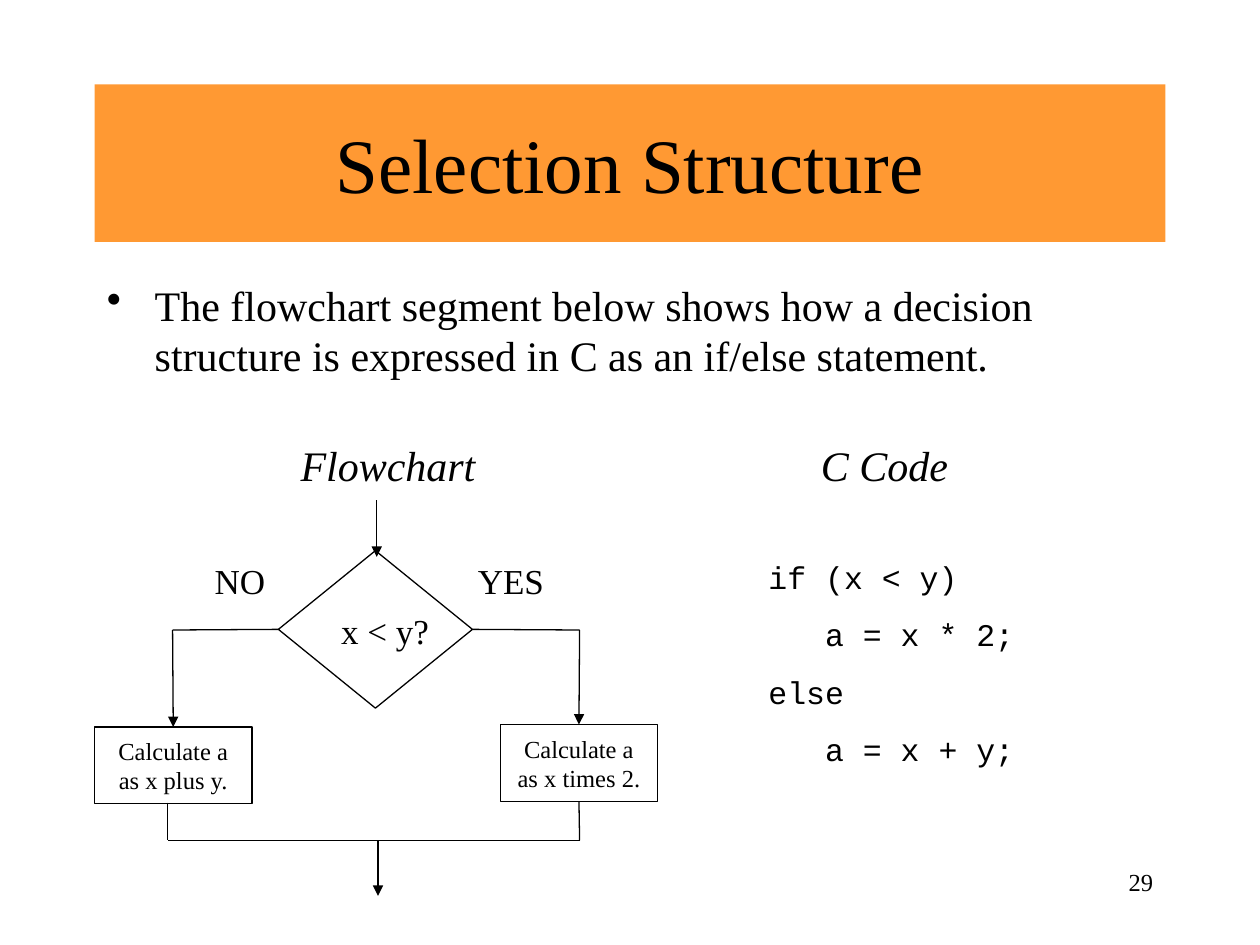
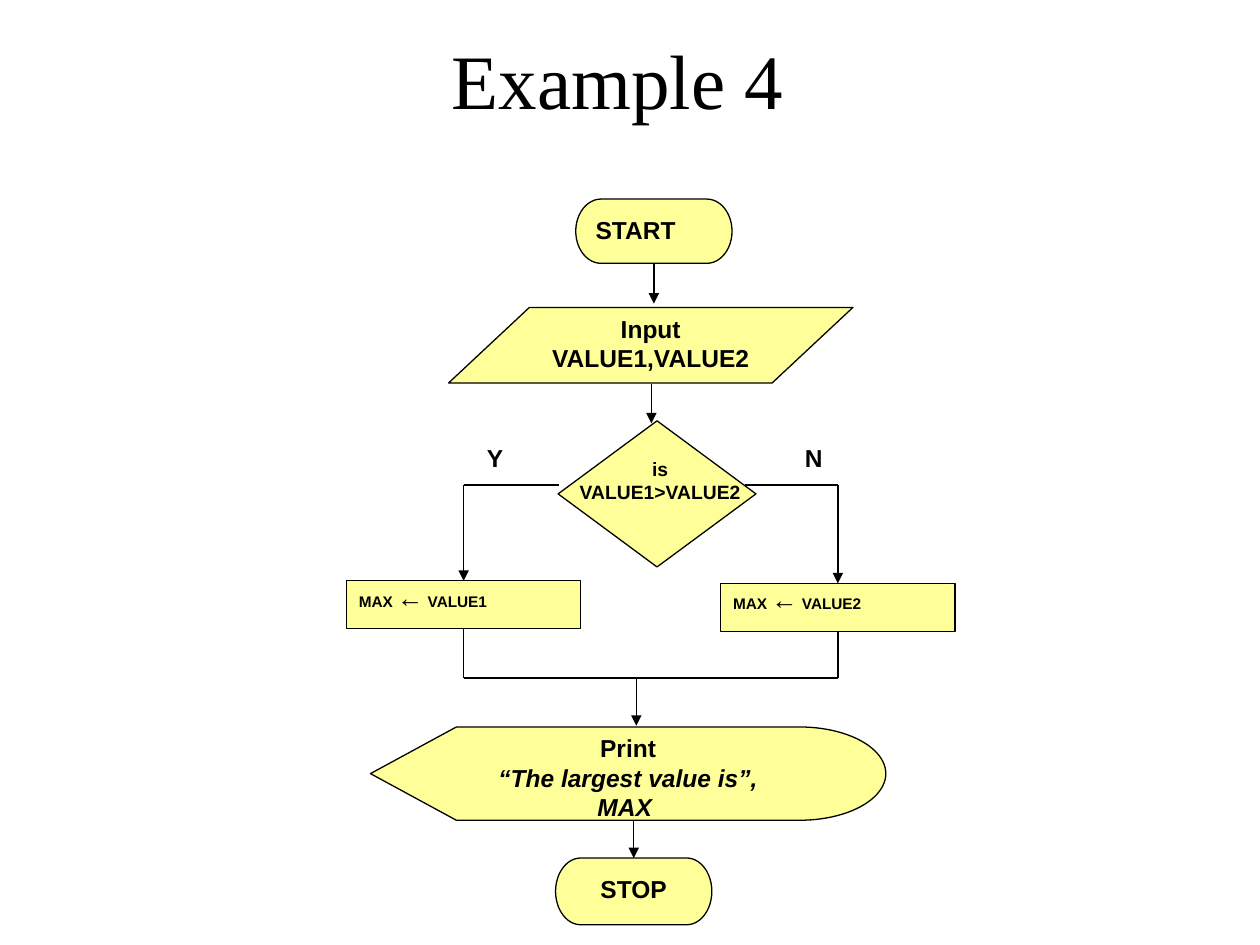
from dataclasses import dataclass, field
from typing import Any, Optional

from lxml.etree import SubElement
from pptx import Presentation
from pptx.dml.color import RGBColor
from pptx.enum.shapes import MSO_CONNECTOR, MSO_SHAPE as Preset
from pptx.enum.text import MSO_ANCHOR as Anchor, PP_ALIGN as Align
from pptx.oxml.ns import qn
from pptx.util import Inches, Pt

COLORS = {"ink": "000000", "band": "FF9933", "step": "FFFF99"}
TITLE_ONLY = 5
TOP, LEFT, BOTTOM, RIGHT = range(4)

SERIF = {"name": "Times New Roman"}
TITLE = SERIF | {"size": Pt(44)}
BODY = SERIF | {"size": Pt(24)}
HEADING = BODY | {"italic": True}
BRANCH = SERIF | {"size": Pt(20)}
SMALL = SERIF | {"size": Pt(14)}
CODE = {"name": "Courier New", "size": Pt(18)}
STEP = {"name": "Arial", "size": Pt(14), "bold": True}
TEST = STEP | {"size": Pt(11)}
ASSIGN = STEP | {"size": Pt(8.8)}
ARROW_SIGN = {"size": Pt(15), "bold": False}

CENTER = {"alignment": Align.CENTER}
START = {"alignment": Align.LEFT}
END = {"alignment": Align.RIGHT}

Box = tuple[float, float, float, float]
Run = tuple[str, dict[str, Any]]


@dataclass
class Text:
    box: Box
    lines: list[list[Run]]
    font: dict[str, Any]
    layout: dict[str, Any] = field(default_factory=lambda: CENTER)
    gap: float = 0
    bullet: bool = False


@dataclass
class Node:
    name: str
    preset: Preset
    box: Box
    fill: Optional[str] = None
    lines: list[list[Run]] = field(default_factory=list)
    font: dict[str, Any] = field(default_factory=lambda: STEP)
    layout: dict[str, Any] = field(default_factory=lambda: CENTER)
    anchor: Anchor = Anchor.TOP


@dataclass
class Link:
    start: tuple[float, float]
    end: tuple[float, float]
    arrow: bool = False
    begin_at: Optional[tuple[str, int]] = None
    end_at: Optional[tuple[str, int]] = None


def plain(*lines: str) -> list[list[Run]]:
    """Lines of text that keep the font of their box."""
    return [[(line, {})] for line in lines]


def assign_max(value: str) -> list[list[Run]]:
    return [[("MAX ", {}), ("←", ARROW_SIGN), (f" {value}", {})]]


def color(name: str) -> RGBColor:
    return RGBColor.from_string(COLORS[name])


def set_format(target, values: dict[str, Any]) -> None:
    for attribute, value in values.items():
        setattr(target, attribute, value)


def add_bullet(paragraph) -> None:
    properties = paragraph._p.get_or_add_pPr()
    properties.set("marL", str(Inches(0.38)))
    properties.set("indent", str(-Inches(0.38)))
    SubElement(properties, qn("a:buChar"), char="•")


def write(frame, lines, font, layout, gap=0, bullet=False) -> None:
    frame.word_wrap = True
    for index, runs in enumerate(lines):
        paragraph = frame.add_paragraph() if index else frame.paragraphs[0]
        set_format(paragraph, layout)
        if index and gap:
            paragraph.space_before = Pt(gap)
        if bullet:
            add_bullet(paragraph)
        for text, changes in runs:
            run = paragraph.add_run()
            run.text = text
            set_format(run.font, font | changes)
            run.font.color.rgb = color("ink")


def add_title(slide, text: str, box: Box, fill: Optional[str] = None) -> None:
    title = slide.shapes.title
    set_format(title, dict(zip(("left", "top", "width", "height"), map(Inches, box))))
    if fill:
        title.fill.solid()
        title.fill.fore_color.rgb = color(fill)
    title.text_frame.vertical_anchor = Anchor.MIDDLE
    write(title.text_frame, plain(text), TITLE, CENTER)


def add_text(slide, text: Text) -> None:
    shape = slide.shapes.add_textbox(*map(Inches, text.box))
    write(shape.text_frame, text.lines, text.font, text.layout, text.gap, text.bullet)


def set_line(line) -> None:
    line.color.rgb = color("ink")
    line.width = Pt(0.75)


def add_node(slide, node: Node):
    shape = slide.shapes.add_shape(node.preset, *map(Inches, node.box))
    shape.shadow.inherit = False
    set_line(shape.line)
    if node.fill:
        shape.fill.solid()
        shape.fill.fore_color.rgb = color(node.fill)
    else:
        shape.fill.background()
    shape.text_frame.vertical_anchor = node.anchor
    write(shape.text_frame, node.lines, node.font, node.layout)
    return shape


def add_link(slide, link: Link, shapes: dict[str, Any]) -> None:
    connector = slide.shapes.add_connector(
        MSO_CONNECTOR.STRAIGHT, *map(Inches, link.start + link.end))
    set_line(connector.line)
    if link.arrow:
        SubElement(connector.line._get_or_add_ln(), qn("a:tailEnd"), type="triangle")
    SubElement(connector._element.spPr, qn("a:effectLst"))
    if link.begin_at:
        name, side = link.begin_at
        connector.begin_connect(shapes[name], side)
    if link.end_at:
        name, side = link.end_at
        connector.end_connect(shapes[name], side)


def add_flowchart(slide, nodes: list[Node], links: list[Link], texts: list[Text]) -> None:
    shapes = {node.name: add_node(slide, node) for node in nodes}
    for link in links:
        add_link(slide, link, shapes)
    for text in texts:
        add_text(slide, text)


def build_selection(slide) -> None:
    add_title(slide, "Selection Structure", (0.75, 0.67, 8.5, 1.25), "band")
    nodes = [
        Node("test", Preset.FLOWCHART_DECISION, (2.21, 4.37, 1.54, 1.25)),
        Node("plus", Preset.RECTANGLE, (0.75, 5.77, 1.25, 0.61), None,
             plain("Calculate a as x plus y."), SMALL, anchor=Anchor.MIDDLE),
        Node("times", Preset.RECTANGLE, (3.97, 5.75, 1.25, 0.61), None,
             plain("Calculate a as x times 2."), SMALL, anchor=Anchor.MIDDLE),
    ]
    no_x, yes_x, test_y, merge_y = 1.37, 4.6, 5, 6.67
    links = [
        Link((2.99, 3.97), (2.99, 4.42), True),
        Link((no_x, test_y), (2.21, test_y), end_at=("test", LEFT)),
        Link((no_x, test_y), (no_x, 5.77), True, end_at=("plus", TOP)),
        Link((yes_x, test_y), (3.75, test_y), end_at=("test", RIGHT)),
        Link((yes_x, test_y), (yes_x, 5.75), True, end_at=("times", TOP)),
        Link((1.33, 6.37), (1.33, merge_y)),
        Link((yes_x, 6.36), (yes_x, merge_y), begin_at=("times", BOTTOM)),
        Link((yes_x, merge_y), (1.33, merge_y)),
        Link((3, merge_y), (3, 7.11), True),
    ]
    texts = [
        Text((0.75, 2.17, 8.5, 1), plain(
            "The flowchart segment below shows how a decision structure "
            "is expressed in C as an if/else statement."), BODY, START, bullet=True),
        Text((2.21, 3.44, 1.74, 0.5), plain("Flowchart"), HEADING),
        Text((6.15, 3.44, 1.74, 0.5), plain("C Code"), HEADING),
        Text((1.49, 4.39, 0.83, 0.44), plain("NO"), BRANCH),
        Text((3.64, 4.39, 0.83, 0.44), plain("YES"), BRANCH),
        Text((2.61, 4.79, 0.94, 0.44), plain("x < y?"), BRANCH, START),
        Text((6, 4.38, 3.21, 1.77), plain(
            "if (x < y)", "   a = x * 2;", "else", "   a = x + y;"), CODE, START, gap=11.2),
        Text((7.17, 6.83, 2.08, 0.5), plain("29"), SMALL, END),
    ]
    add_flowchart(slide, nodes, links, texts)


def build_maximum(slide) -> None:
    add_title(slide, "Example 4 ", (0.73, 0, 8.5, 1.25))
    assign_layout = START | {"line_spacing": 0.8}
    nodes = [
        Node("start", Preset.FLOWCHART_TERMINATOR, (4.57, 1.58, 1.24, 0.51), "step",
             plain("START"), layout=START),
        Node("input", Preset.FLOWCHART_DATA, (3.56, 2.44, 3.21, 0.6), "step",
             plain("Input", "VALUE1,VALUE2")),
        Node("test", Preset.FLOWCHART_DECISION, (4.43, 3.34, 1.57, 1.16), "step"),
        Node("first", Preset.FLOWCHART_PROCESS, (2.75, 4.61, 1.86, 0.38), "step",
             assign_max("VALUE1"), ASSIGN, assign_layout),
        Node("second", Preset.FLOWCHART_PROCESS, (5.72, 4.63, 1.86, 0.38), "step",
             assign_max("VALUE2"), ASSIGN, assign_layout),
        Node("print", Preset.FLOWCHART_DISPLAY, (2.94, 5.77, 4.09, 0.74), "step",
             [[("Print", {})], [("“The largest value is”, MAX ", {"italic": True})]]),
        Node("stop", Preset.FLOWCHART_TERMINATOR, (4.41, 6.81, 1.24, 0.53), "step",
             plain("STOP")),
    ]
    yes_x, no_x, test_y, merge_y = 3.68, 6.65, 3.85, 5.38
    links = [
        Link((5.19, 2.09), (5.19, 2.41), True, begin_at=("start", BOTTOM)),
        Link((5.17, 3.05), (5.17, 3.36), True),
        Link((yes_x, test_y), (4.44, test_y)),
        Link((yes_x, test_y), (yes_x, 4.61), True, end_at=("first", TOP)),
        Link((5.91, test_y), (no_x, test_y)),
        Link((no_x, test_y), (no_x, 4.63), True, end_at=("second", TOP)),
        Link((yes_x, 4.99), (yes_x, merge_y), begin_at=("first", BOTTOM)),
        Link((no_x, 5.01), (no_x, merge_y), begin_at=("second", BOTTOM)),
        Link((yes_x, merge_y), (no_x, merge_y)),
        Link((5.05, merge_y), (5.05, 5.76), True),
        Link((5.03, 6.51), (5.03, 6.81), True, end_at=("stop", TOP)),
    ]
    texts = [
        Text((3.56, 3.47, 0.74, 0.38), plain("Y"), STEP),
        Text((6.29, 3.47, 0.74, 0.38), plain("N"), STEP, START),
        Text((4.06, 3.58, 2.36, 0.64), plain("is", "VALUE1>VALUE2"), TEST),
    ]
    add_flowchart(slide, nodes, links, texts)


def main() -> None:
    presentation = Presentation()
    presentation.slide_width, presentation.slide_height = Inches(10), Inches(7.5)
    for build in (build_selection, build_maximum):
        build(presentation.slides.add_slide(presentation.slide_layouts[TITLE_ONLY]))
    presentation.save("out.pptx")


if __name__ == "__main__":
    main()
